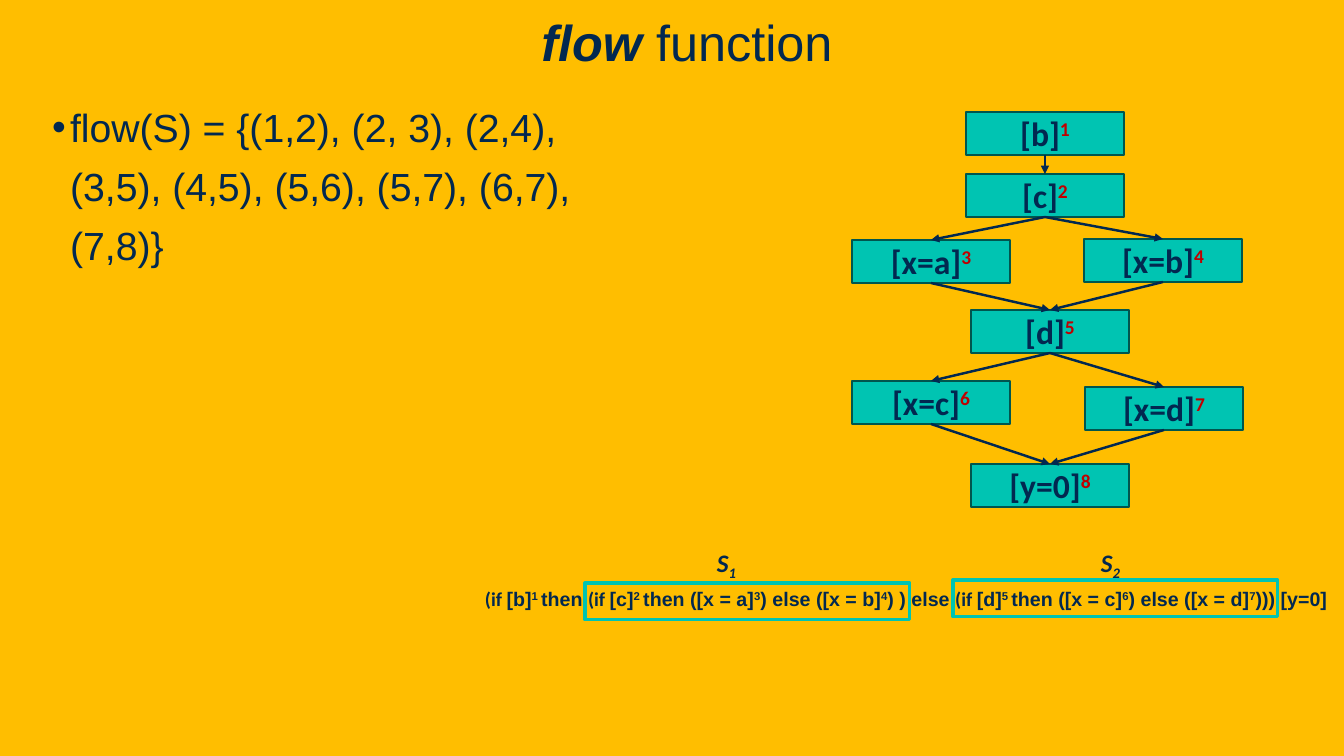
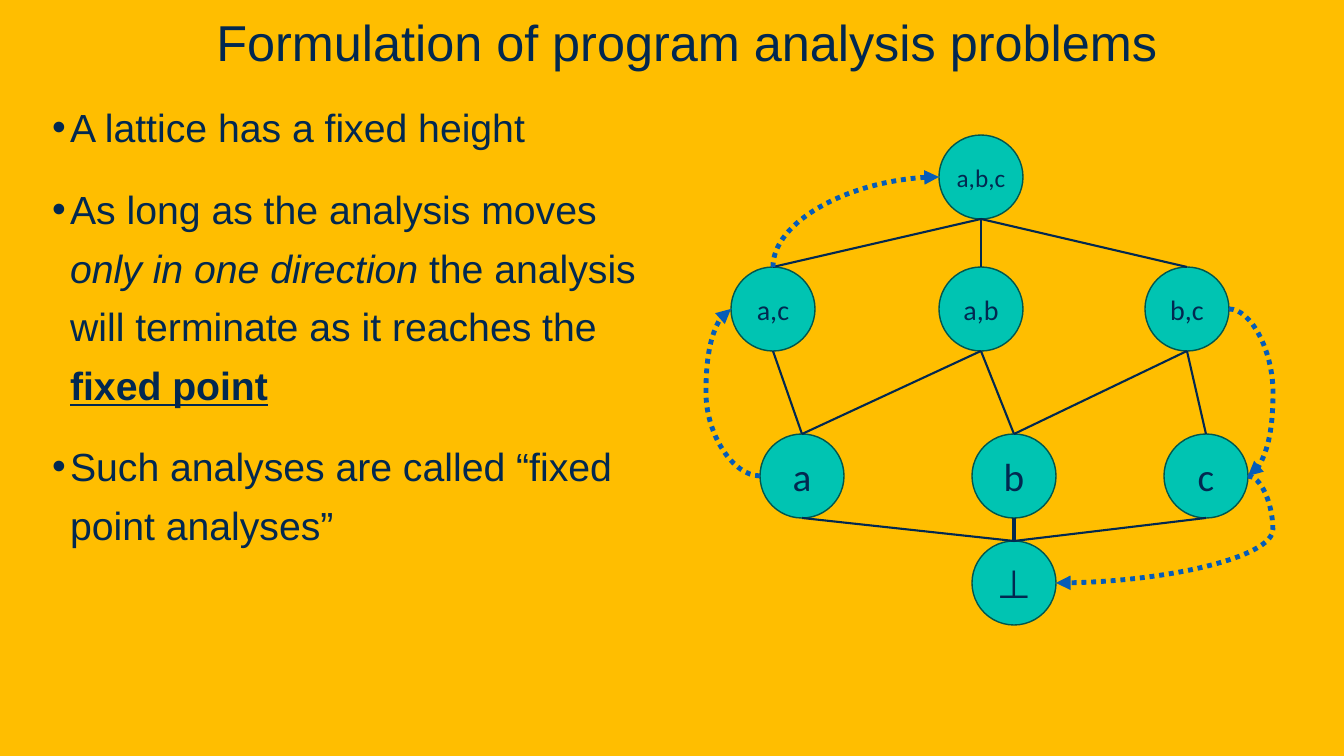
from pptx import Presentation
from pptx.dml.color import RGBColor
from pptx.enum.dml import MSO_LINE
from pptx.enum.shapes import MSO_CONNECTOR, MSO_SHAPE
from pptx.enum.text import MSO_ANCHOR, MSO_AUTO_SIZE, PP_ALIGN
from pptx.oxml.ns import qn
from pptx.util import Emu, Pt
from lxml import etree

RECT, OVAL = MSO_SHAPE.RECTANGLE, MSO_SHAPE.OVAL
STRAIGHT, CURVE = MSO_CONNECTOR.STRAIGHT, MSO_CONNECTOR.CURVE
DOTS = MSO_LINE.ROUND_DOT
MIDDLE, BOTTOM = MSO_ANCHOR.MIDDLE, MSO_ANCHOR.BOTTOM
CENTER, NO_FIT = PP_ALIGN.CENTER, MSO_AUTO_SIZE.NONE
TOP, LEFT, LOW, RIGHT = range(4)

YELLOW, NAVY, TEAL, DARK_TEAL = "FFBE00", "022850", "00C4B2", "00564E"
RED, BLUE = "C00000", "055CB8"
SANS, LABEL = "Arial", "Calibri"


def px(n):
    """Turn pixels (100.8 to the inch) into EMU."""
    return Emu(round(n * 914400 / 100.8))


def rgb(color):
    """Turn a hex string into a colour."""
    return RGBColor.from_string(color)


def write(p, text, size=28, font=SANS, color=NAVY, bold=False, italic=False,
          underline=False, base=0):
    """Add a formatted run; base is the shift from the baseline in percent."""
    r = p.add_run()
    r.text = text
    f = r.font
    f.size, f.name, f.bold, f.italic, f.underline = Pt(size), font, bold, italic, underline
    f.color.rgb = rgb(color)
    if base:
        r._r.get_or_add_rPr().set("baseline", str(base * 1000))


def place(sp, x, y, w, h):
    """Move and size a shape in pixels."""
    sp.left, sp.top, sp.width, sp.height = px(x), px(y), px(w), px(h)


def indent(p, left, first=0):
    """Set the left margin and first-line indent of a paragraph."""
    pPr = p._p.get_or_add_pPr()
    pPr.set("marL", str(px(left)))
    pPr.set("indent", str(px(first)))


def new_slide(prs, title, bullets):
    """Add a slide with its title and bullets, each a list of (text, format)."""
    slide = prs.slides.add_slide(prs.slide_layouts[1])
    head, body = slide.placeholders
    place(head, 0, 0, 1344, 77)
    place(body, 42, 87, 621, 556)
    tf = head.text_frame
    tf.auto_size, tf.vertical_anchor = NO_FIT, BOTTOM
    p = tf.paragraphs[0]
    p.alignment = CENTER
    indent(p, 30)
    for text, fmt in title:
        write(p, text, size=36, **fmt)
    tf = body.text_frame
    tf.auto_size = NO_FIT
    for i, runs in enumerate(bullets):
        p = tf.add_paragraph() if i else tf.paragraphs[0]
        indent(p, 18, -18)
        p.line_spacing = 1.25
        p.space_before, p.space_after = Pt(10 if i else 0), Pt(6)
        for text, fmt in runs:
            write(p, text, **fmt)
    return slide


def add_outline(slide, kind, x, y, w, h, line, width, fill=None):
    """Add a preset shape with an outline and an optional fill."""
    sp = slide.shapes.add_shape(kind, px(x), px(y), px(w), px(h))
    sp.shadow.inherit = False
    if fill:
        sp.fill.solid()
        sp.fill.fore_color.rgb = rgb(fill)
    else:
        sp.fill.background()
    sp.line.color.rgb = rgb(line)
    sp.line.width = Pt(width)
    return sp


def add_node(slide, kind, x, y, w, h, runs):
    """Add a teal graph node with centred text."""
    sp = add_outline(slide, kind, x, y, w, h, DARK_TEAL, 1, TEAL)
    tf = sp.text_frame
    tf.word_wrap, tf.vertical_anchor = False, MIDDLE
    p = tf.paragraphs[0]
    p.alignment = CENTER
    for text, fmt in runs:
        write(p, text, font=LABEL, **fmt)
    return sp


def side(sp, i):
    """Return the middle of a side of a shape."""
    mid_x, mid_y = sp.left + sp.width // 2, sp.top + sp.height // 2
    return [(mid_x, sp.top), (sp.left, mid_y), (mid_x, sp.top + sp.height),
            (sp.left + sp.width, mid_y)][i]


def link(slide, a, i, b, j, kind=STRAIGHT, color=NAVY, width=1.5, arrow=None):
    """Draw a line from side i of node a to side j of node b."""
    sp = slide.shapes.add_connector(kind, *side(a, i), *side(b, j))
    if a.auto_shape_type == RECT:
        sp.begin_connect(a, i)
        sp.end_connect(b, j)
    sp.line.color.rgb = rgb(color)
    sp.line.width = Pt(width)
    if kind == CURVE:
        sp.line.dash_style = DOTS
    spPr = sp._element.spPr
    if arrow:
        etree.SubElement(spPr.find(qn("a:ln")), qn(arrow)).set("type", "triangle")
    etree.SubElement(spPr, qn("a:effectLst"))
    return sp


def bend(sp, turn):
    """Bend a curve at the given x, or into a quarter turn if there is none."""
    geom = sp._element.spPr.find(qn("a:prstGeom"))
    if turn is None:
        geom.set("prst", "curvedConnector2")
        return
    guides = geom.find(qn("a:avLst"))
    guide = etree.SubElement(guides, qn("a:gd"))
    ratio = (px(turn) - sp.begin_x) / (sp.end_x - sp.begin_x)
    guide.set("name", "adj1")
    guide.set("fmla", f"val {round(ratio * 100000)}")


def add_label(slide, x, y, w, h, runs, wrap):
    """Add a text box with one bold line."""
    tf = slide.shapes.add_textbox(px(x), px(y), px(w), px(h)).text_frame
    tf.word_wrap = wrap
    for text, fmt in runs:
        write(tf.paragraphs[0], text, bold=True, **fmt)


def flow_graph(slide, x, y):
    """Draw the control flow graph from its top-left corner."""
    blocks = [("b", 114, 0), ("c", 114, 62), ("x=a", 0, 128), ("x=b", 232, 127),
              ("d", 119, 198), ("x=c", 0, 269), ("x=d", 233, 275), ("y=0", 119, 352)]
    edges = [(1, 2), (2, 3), (2, 4), (3, 5), (4, 5), (5, 6), (5, 7), (6, 8), (7, 8)]
    nodes = {}
    for n, (code, dx, dy) in enumerate(blocks, 1):
        runs = [(f"[{code}]", dict(size=24, bold=True)),
                (str(n), dict(size=24, bold=True, color=RED, base=30))]
        nodes[n] = add_node(slide, RECT, x + dx, y + dy, 158, 43, runs)
    for a, b in edges:
        link(slide, nodes[a], LOW, nodes[b], TOP, width=1.75, arrow="a:tailEnd")


def labelled_program(slide, x, y):
    """Draw the program line with its two framed statements."""
    program = [("(if ", LABEL, 0), ("[b]", SANS, 0), ("1 ", SANS, 30), ("then ", SANS, 0),
               ("(if ", LABEL, 0), ("[c]", SANS, 0), ("2 ", SANS, 30),
               ("then ([x = a]", SANS, 0), ("3", SANS, 30), (") else ([x = b]", SANS, 0),
               ("4", SANS, 30), (") ) else ", SANS, 0),
               ("(if ", LABEL, 0), ("[d]", SANS, 0), ("5 ", SANS, 30),
               ("then ([x = c]", SANS, 0), ("6", SANS, 30), (") else ([x = d]", SANS, 0),
               ("7", SANS, 30), ("))) [y=0]", SANS, 0)]
    runs = [(text, dict(size=14, font=font, base=base)) for text, font, base in program]
    add_label(slide, x, y + 40, 869, 34, runs, True)
    for n, frame_x, frame_y, name_x in [("1", 110, 41, 232), ("2", 478, 38, 616)]:
        add_outline(slide, RECT, x + frame_x, y + frame_y, 325, 37, TEAL, 2.25)
        fmt = dict(size=18, font=LABEL, italic=True)
        add_label(slide, x + name_x, y, 41, 40,
                  [("S", fmt), (n, dict(fmt, base=-25))], False)


def lattice(slide, x, y):
    """Draw the subset lattice and the dotted one-way moves."""
    places = [("⊥", 241, 406, 28), ("a", 29, 299, 28), ("b", 241, 299, 28),
              ("c", 433, 299, 28), ("a,b", 208, 132, 20), ("b,c", 414, 132, 20),
              ("a,c", 0, 132, 20), ("a,b,c", 208, 0, 18)]
    edges = [("a", "⊥"), ("b", "⊥"), ("c", "⊥"), ("a,b", "b"), ("a,b", "a"), ("b,c", "c"),
             ("b,c", "b"), ("a,c", "a"), ("a,b,c", "a,b"), ("a,b,c", "a,c"),
             ("a,b,c", "b,c")]
    moves = [("a", LEFT, "a,c", LEFT, -25, "a:tailEnd"),
             ("a,b,c", LEFT, "a,c", TOP, None, "a:headEnd"),
             ("b,c", RIGHT, "c", RIGHT, 542, "a:tailEnd"),
             ("c", RIGHT, "⊥", RIGHT, 542, "a:tailEnd")]
    nodes = {name: add_node(slide, OVAL, x + dx, y + dy, 84, 84, [(name, dict(size=size))])
             for name, dx, dy, size in places}
    for a, b in edges:
        width = 2.25 if (a, b) == ("b", "⊥") else 1.5
        link(slide, nodes[a], LOW, nodes[b], TOP, width=width)
    for a, i, b, j, turn, arrow in moves:
        sp = link(slide, nodes[a], i, nodes[b], j, CURVE, BLUE, 3.5, arrow)
        bend(sp, None if turn is None else x + turn)


def main():
    """Build and save the presentation."""
    prs = Presentation()
    prs.slide_width, prs.slide_height = px(1344), px(756)
    fill = prs.slide_master.background.fill
    fill.solid()
    fill.fore_color.rgb = rgb(YELLOW)

    slide = new_slide(
        prs, [("flow ", dict(bold=True, italic=True)), ("function", {})],
        [[("flow(S) = {(1,2), (2, 3), (2,4), (3,5), (4,5), (5,6), (5,7), (6,7), (7,8)}", {})]])
    labelled_program(slide, 475, 542)
    flow_graph(slide, 852, 112)

    slide = new_slide(
        prs, [("Formulation of program analysis problems", {})],
        [[("A lattice has a fixed height", {})],
         [("As long as the analysis moves ", {}),
          ("only in one direction ", dict(italic=True)),
          ("the analysis will terminate as it reaches the ", {}),
          ("fixed point", dict(bold=True, underline=True))],
         [("Such analyses are called “fixed point analyses”", {})]])
    lattice(slide, 731, 135)
    prs.save("out.pptx")


if __name__ == "__main__":
    main()
